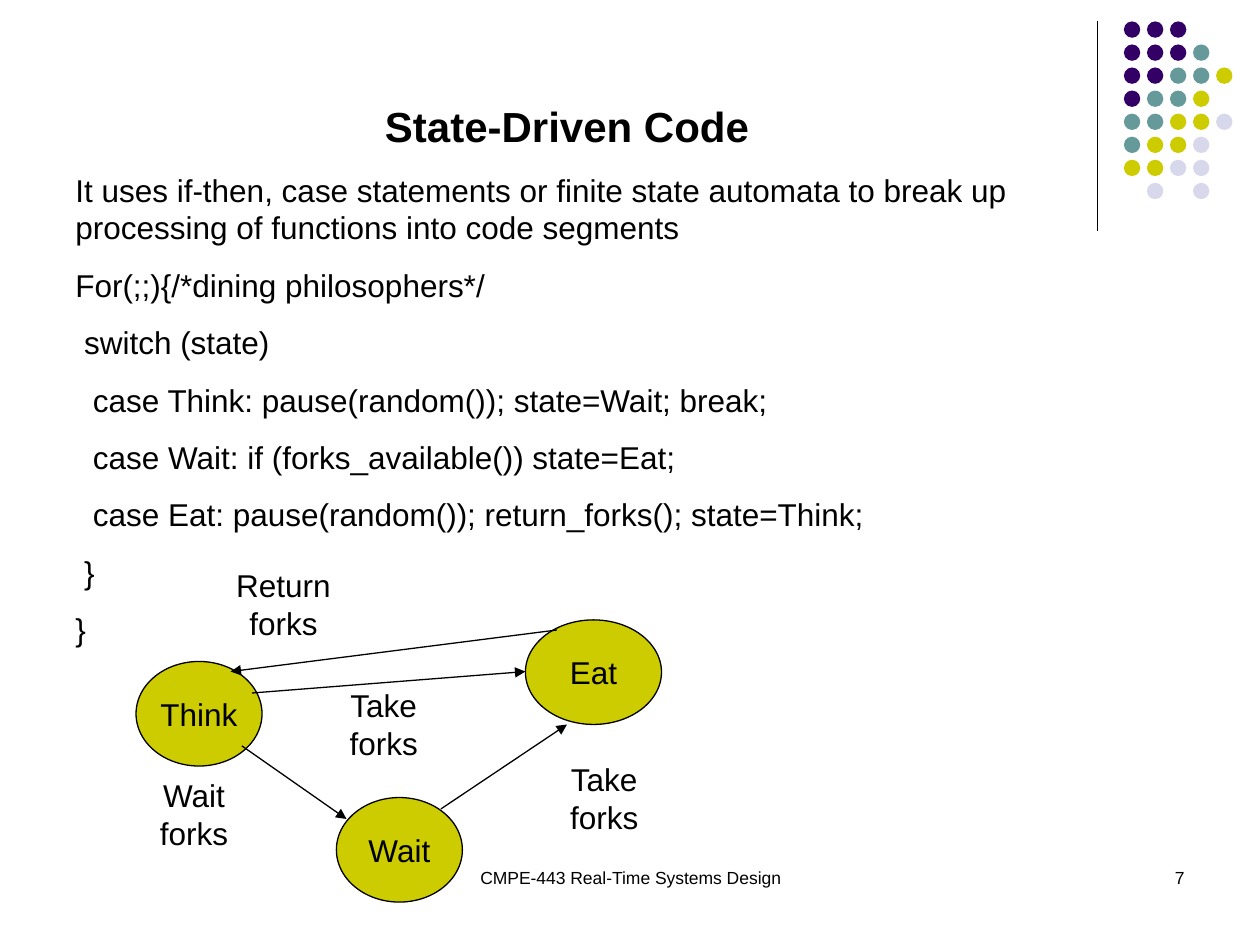
from lxml import etree
from pptx import Presentation
from pptx.dml.color import RGBColor
from pptx.enum.shapes import MSO_CONNECTOR, MSO_SHAPE
from pptx.enum.text import MSO_ANCHOR, PP_ALIGN
from pptx.oxml.ns import qn
from pptx.util import Inches, Pt

OVAL, STRAIGHT = MSO_SHAPE.OVAL, MSO_CONNECTOR.STRAIGHT
LEFT, CENTER, RIGHT = PP_ALIGN.LEFT, PP_ALIGN.CENTER, PP_ALIGN.RIGHT
TOP, MIDDLE = MSO_ANCHOR.TOP, MSO_ANCHOR.MIDDLE

BLACK, OLIVE = "000000", "CCCC00"
DOT_COLORS = {"P": "330066", "T": "669999", "O": OLIVE, "L": "D8D8EC"}
DOT_ROWS = ["PPP", "PPPT", "PPTTO", "PTTO", "TTOOL", "TOOL", "OOLL", " L L"]
DOT_LEFT, DOT_TOP, DOT_PITCH, DOT_SIZE = 8.92, 0.17, 0.183, 0.13
RULE = ((8.71, 0.17), (8.71, 1.83))

TITLE = "State-Driven Code"
BODY = [
    "It uses if-then, case statements or finite state automata to break up "
    "processing of functions into code segments",
    "For(;;){/*dining philosophers*/",
    " switch (state)",
    "  case Think: pause(random()); state=Wait; break;",
    "  case Wait: if (forks_available()) state=Eat;",
    "  case Eat: pause(random()); return_forks(); state=Think;",
    " }",
    "}",
]
STATES = [
    ("Think", (1.08, 5.25, 1, 0.83)),
    ("Eat", (4.17, 4.92, 1.08, 0.83)),
    ("Wait", (2.67, 6.33, 1, 0.83)),
]
TRANSITIONS = [
    ((2, 5.5), (4.17, 5.33)),
    ((1.92, 5.92), (2.75, 6.5)),
    ((3.5, 6.42), (4.5, 5.75)),
    ((4.42, 5), (1.83, 5.33)),
]
TRANSITION_LABELS = [
    ("Return forks", (1.75, 4.58, 1, 0.42)),
    ("Take forks", (2.42, 5.58, 1.25, 0.33)),
    ("Wait forks", (1.08, 6.25, 0.92, 0.42)),
    ("Take forks", (4.17, 6.17, 1.25, 0.33)),
]
FOOTERS = [
    ("CMPE-443 Real-Time Systems Design", (3.42, 6.83, 3.17, 0.5), CENTER),
    ("7", (7.17, 6.83, 2.33, 0.5), RIGHT),
]


def color(hex_string):
    return RGBColor.from_string(hex_string)


def set_all(target, values):
    for name, value in values.items():
        setattr(target, name, value)


def write(paragraph, text, size=18, bold=False, align=LEFT, before=0):
    paragraph.text = text
    set_all(paragraph, {"alignment": align, "space_before": Pt(before)})
    set_all(paragraph.font, {"name": "Arial", "size": Pt(size), "bold": bold})
    paragraph.font.color.rgb = color(BLACK)


def set_frame(frame, wrap, anchor):
    set_all(frame, {
        "word_wrap": wrap, "vertical_anchor": anchor,
        "margin_left": Inches(0.1), "margin_right": Inches(0.1),
        "margin_top": Inches(0.05), "margin_bottom": Inches(0.05),
    })


def add_text(slide, box, wrap=True, anchor=TOP):
    frame = slide.shapes.add_textbox(*map(Inches, box)).text_frame
    set_frame(frame, wrap, anchor)
    return frame


def add_oval(slide, box, fill):
    oval = slide.shapes.add_shape(OVAL, *map(Inches, box))
    oval.shadow.inherit = False
    oval.fill.solid()
    oval.fill.fore_color.rgb = color(fill)
    oval.line.fill.background()
    return oval


def outline(line):
    line.color.rgb = color(BLACK)
    line.width = Pt(0.75)


def add_line(slide, start, end, arrow=False):
    connector = slide.shapes.add_connector(STRAIGHT, *map(Inches, start + end))
    outline(connector.line)
    properties = connector._element.spPr
    if arrow:
        etree.SubElement(properties.find(qn("a:ln")), qn("a:tailEnd"), type="triangle")
    etree.SubElement(properties, qn("a:effectLst"))


def add_dots(slide):
    for row, codes in enumerate(DOT_ROWS):
        for column, code in enumerate(codes):
            if code in DOT_COLORS:
                left = DOT_LEFT + column * DOT_PITCH
                top = DOT_TOP + row * DOT_PITCH
                add_oval(slide, (left, top, DOT_SIZE, DOT_SIZE), DOT_COLORS[code])


def add_body(slide):
    frame = add_text(slide, (0.5, 0.75, 8, 5.37))
    write(frame.paragraphs[0], TITLE, size=24, bold=True, align=CENTER)
    for text in BODY:
        write(frame.add_paragraph(), text, before=11.2)


def add_state_diagram(slide):
    for name, box in STATES:
        state = add_oval(slide, box, OLIVE)
        outline(state.line)
        set_frame(state.text_frame, False, MIDDLE)
        write(state.text_frame.paragraphs[0], name, align=CENTER)
    for start, end in TRANSITIONS:
        add_line(slide, start, end, arrow=True)
    for label, box in TRANSITION_LABELS:
        frame = add_text(slide, box, wrap=False, anchor=MIDDLE)
        write(frame.paragraphs[0], label, align=CENTER)


def main():
    deck = Presentation()
    set_all(deck, {"slide_width": Inches(10), "slide_height": Inches(7.5)})
    slide = deck.slides.add_slide(deck.slide_layouts[6])
    add_line(slide, *RULE)
    add_dots(slide)
    add_body(slide)
    add_state_diagram(slide)
    for text, box, align in FOOTERS:
        write(add_text(slide, box).paragraphs[0], text, size=10, align=align)
    deck.save("out.pptx")


if __name__ == "__main__":
    main()
